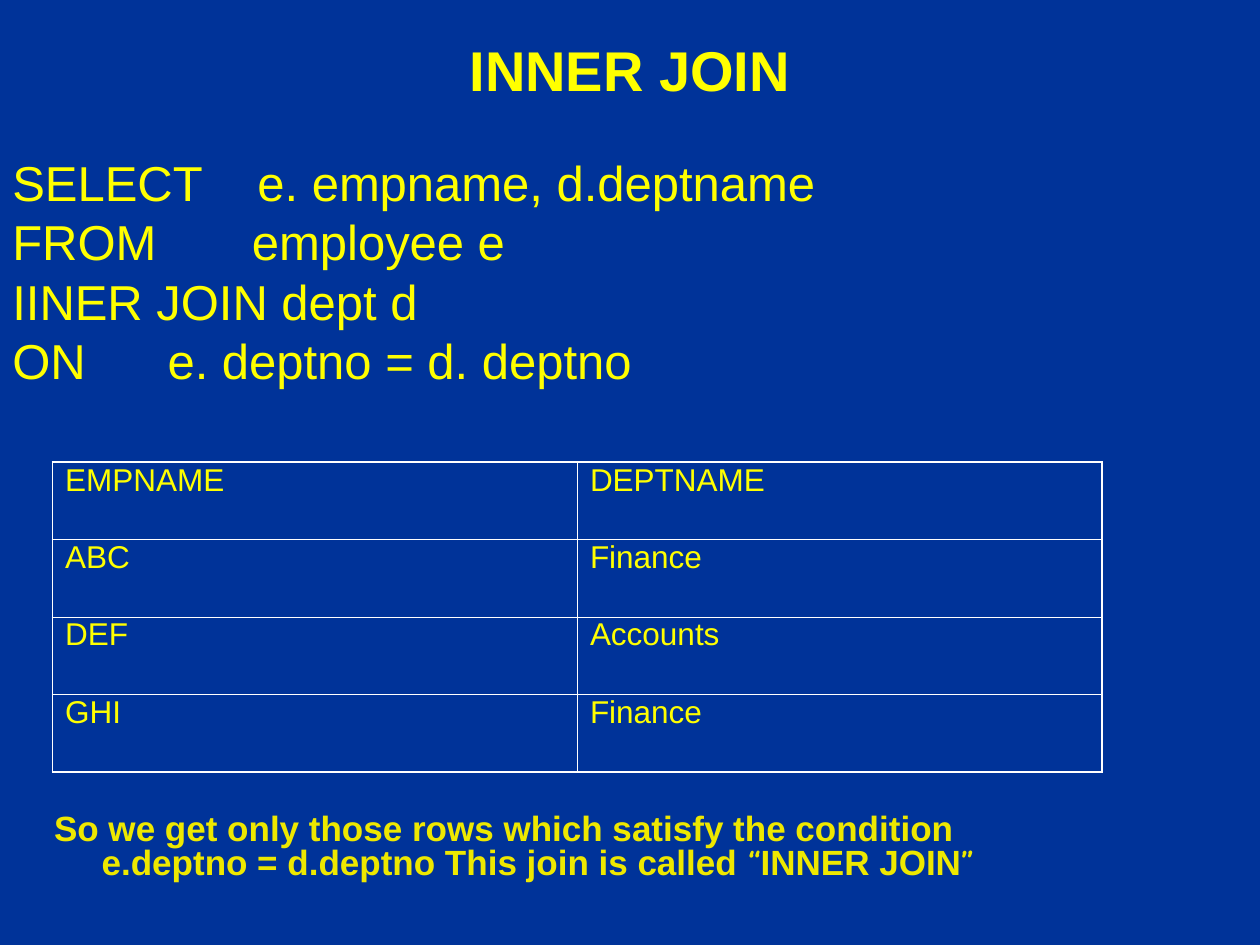
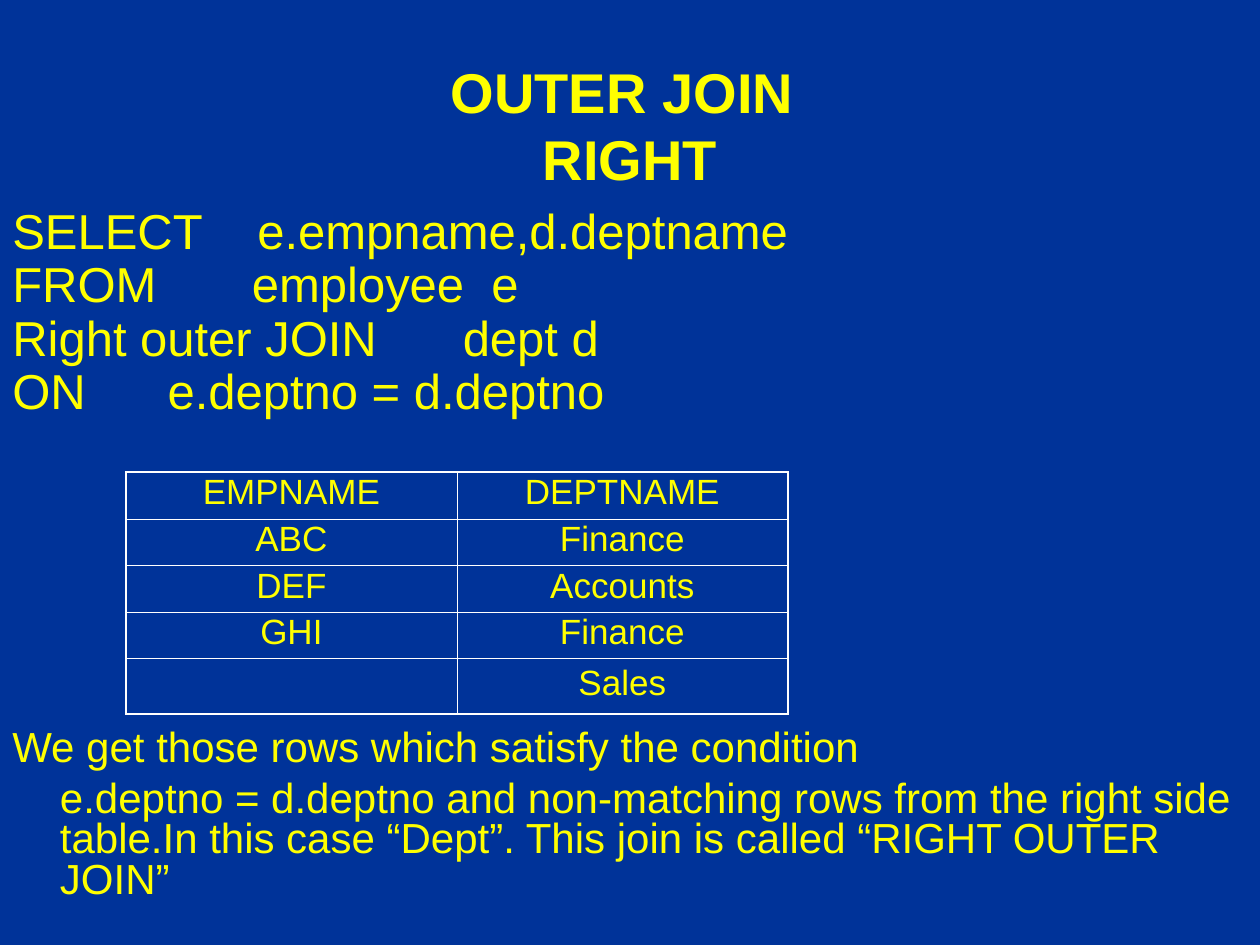
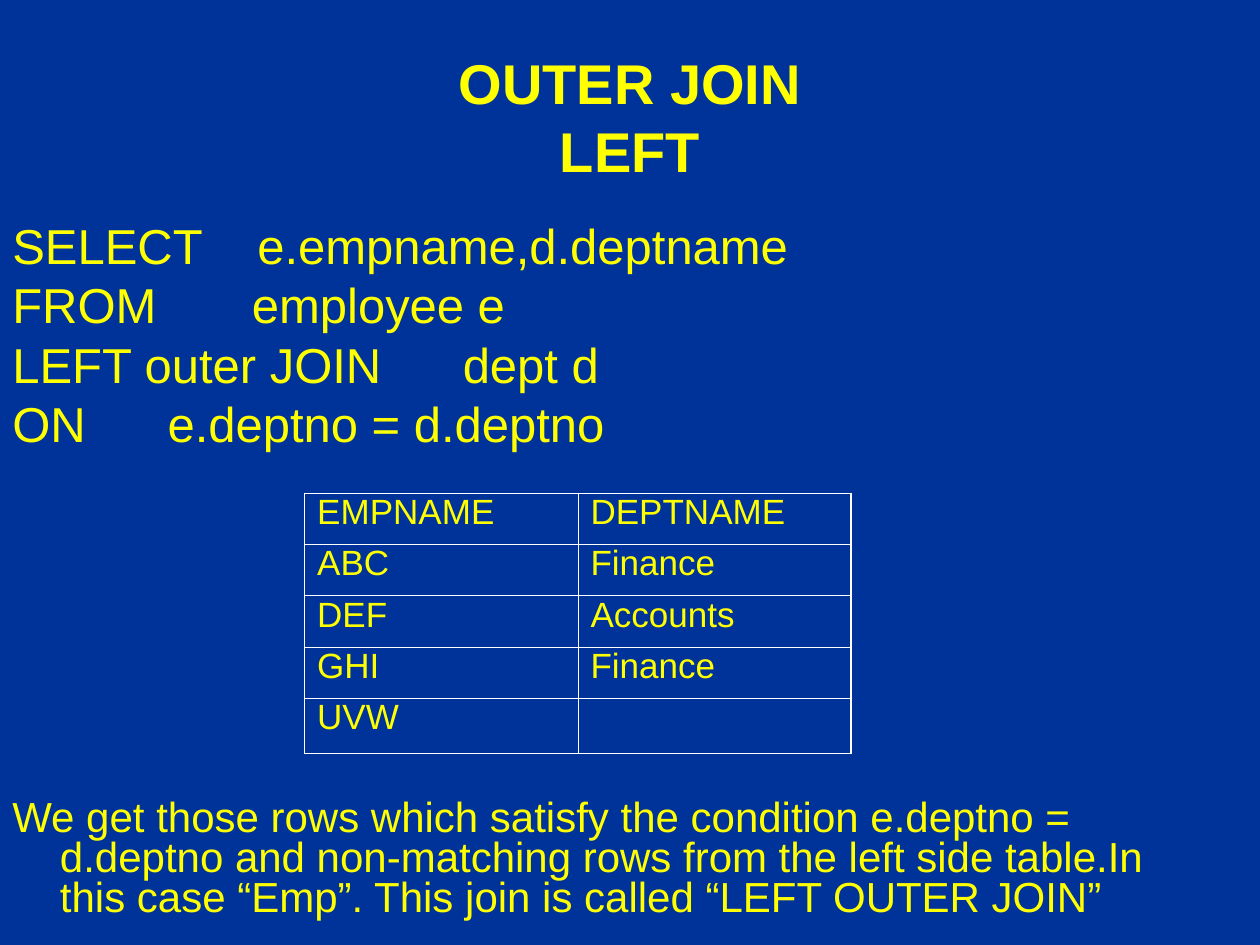
import dataclasses

import lxml.etree
import pptx
import pptx.dml.color
import pptx.enum.text
import pptx.oxml.ns
import pptx.util

Cm = pptx.util.Cm
Pt = pptx.util.Pt
RGBColor = pptx.dml.color.RGBColor
Align = pptx.enum.text.PP_ALIGN
Anchor = pptx.enum.text.MSO_ANCHOR
qn = pptx.oxml.ns.qn


@dataclasses.dataclass(frozen=True)
class Theme:
    background: str = "003399"
    text: str = "FFFF00"
    conclusion: str = "EEE800"
    border: str = "FFFFFF"
    font: str = "Arial"
    quote_font: str = "Comic Neue"
    title_size: int = 32
    code_size: int = 28
    note_size: int = 24
    conclusion_size: int = 20
    outer_border: float = 1.08
    inner_border: float = 0.45
    hanging_indent: float = 0.96


class JoinDeck:
    """Builds slides that explain SQL joins in one shared style."""

    def __init__(self, theme):
        self.theme = theme
        self.presentation = pptx.Presentation()
        self.presentation.slide_width = Cm(25.4)
        self.presentation.slide_height = Cm(19.05)
        self.slide = None

    def new_slide(self):
        self.slide = self.presentation.slides.add_slide(self.presentation.slide_layouts[6])
        fill = self.slide.background.fill
        fill.solid()
        fill.fore_color.rgb = RGBColor.from_string(self.theme.background)

    def text_frame(self, left, top, width, height, anchor=Anchor.TOP):
        shape = self.slide.shapes.add_textbox(Cm(left), Cm(top), Cm(width), Cm(height))
        frame = shape.text_frame
        frame.word_wrap = True
        frame.vertical_anchor = anchor
        return frame

    def paragraph(self, frame, index, spacing, gap):
        paragraph = frame.add_paragraph() if index else frame.paragraphs[0]
        paragraph.line_spacing = spacing
        paragraph.space_before = Pt(gap if index else 0)
        return paragraph

    def run(self, paragraph, text, size, color=None, bold=False, font=None):
        run = paragraph.add_run()
        run.text = text
        run.font.name = font or self.theme.font
        run.font.size = Pt(size)
        run.font.bold = bold
        run.font.color.rgb = RGBColor.from_string(color or self.theme.text)

    def indent(self, paragraph, hanging):
        margin = Cm(self.theme.hanging_indent)
        properties = paragraph._p.get_or_add_pPr()
        properties.set("marL", str(margin))
        properties.set("indent", str(-margin if hanging else 0))

    def tab_stop(self, paragraph, position):
        properties = paragraph._p.get_or_add_pPr()
        stops = lxml.etree.SubElement(properties, qn("a:tabLst"))
        lxml.etree.SubElement(stops, qn("a:tab"), pos=str(Cm(position)), algn="l")

    def title(self, lines, top, height):
        frame = self.text_frame(0, top, 25.4, height, Anchor.MIDDLE)
        paragraph = frame.paragraphs[0]
        paragraph.alignment = Align.CENTER
        for index, line in enumerate(lines):
            if index:
                paragraph.add_line_break()
            self.run(paragraph, line, self.theme.title_size, bold=True)

    def code(self, lines, top, height, spacing=0.8):
        frame = self.text_frame(0, top, 25.4, height)
        for index, (text, stop) in enumerate(lines):
            paragraph = self.paragraph(frame, index, spacing, 7)
            if stop:
                self.tab_stop(paragraph, stop)
            self.run(paragraph, text, self.theme.code_size)

    def note(self, paragraphs, top, width, height):
        frame = self.text_frame(0, top, width, height)
        for index, text in enumerate(paragraphs):
            paragraph = self.paragraph(frame, index, 0.8, 6)
            self.indent(paragraph, hanging=index == 0)
            self.run(paragraph, text, self.theme.note_size)

    def conclusion(self, pieces, left, top, width, height):
        paragraph = self.paragraph(self.text_frame(left, top, width, height), 0, 0.8, 0)
        self.indent(paragraph, hanging=True)
        for text, font in pieces:
            self.run(paragraph, text, self.theme.conclusion_size, self.theme.conclusion, True, font)

    def cell_borders(self, cell, outer_sides):
        properties = cell._tc.get_or_add_tcPr()
        for position, side in enumerate("LRTB"):
            weight = self.theme.outer_border if side in outer_sides else self.theme.inner_border
            line = lxml.etree.Element(qn(f"a:ln{side}"), w=str(Pt(weight)))
            fill = lxml.etree.SubElement(line, qn("a:solidFill"))
            lxml.etree.SubElement(fill, qn("a:srgbClr"), val=self.theme.border)
            properties.insert(position, line)

    def table(self, rows, left, top, column_width, row_heights, size,
              alignment=Align.LEFT, anchor=Anchor.TOP):
        columns = len(rows[0])
        frame = self.slide.shapes.add_table(
            len(rows), columns, Cm(left), Cm(top),
            Cm(column_width * columns), Cm(sum(row_heights)))
        table = frame.table
        table.first_row = table.horz_banding = False
        for column in table.columns:
            column.width = Cm(column_width)
        for row_index, (values, height) in enumerate(zip(rows, row_heights)):
            table.rows[row_index].height = Cm(height)
            for column_index, value in enumerate(values):
                cell = table.cell(row_index, column_index)
                cell.fill.background()
                cell.vertical_anchor = anchor
                edges = {"L": column_index == 0, "R": column_index == columns - 1,
                         "T": row_index == 0, "B": row_index == len(rows) - 1}
                self.cell_borders(cell, [side for side, outer in edges.items() if outer])
                if value:
                    paragraph = self.paragraph(cell.text_frame, 0, 0.8, 0)
                    paragraph.alignment = alignment
                    self.run(paragraph, value, size)


MATCHING_ROWS = [("EMPNAME", "DEPTNAME"), ("ABC", "Finance"),
                 ("DEF", "Accounts"), ("GHI", "Finance")]
SELECT_STOP, FROM_STOP, JOIN_STOP, ON_STOP = 4.94, 4.83, 9.08, 3.13


def outer_join_code(join, source):
    return [("SELECT\te.empname,d.deptname", SELECT_STOP), (f"FROM\t{source}", FROM_STOP),
            (f"{join} outer JOIN\tdept d", JOIN_STOP), ("ON\te.deptno = d.deptno", ON_STOP)]


def inner_join(deck):
    deck.new_slide()
    deck.table(MATCHING_ROWS, 1.06, 9.32, 10.58, [1.56] * 4, 18)
    deck.conclusion(
        [("So we get only those rows which satisfy the condition "
          "e.deptno = d.deptno This join is called ", None),
         ("“", deck.theme.quote_font), ("INNER JOIN", None), ("”", deck.theme.quote_font)],
        0.84, 16.3, 21.18, 2.08)
    deck.code([("SELECT\te. empname, d.deptname", SELECT_STOP), ("FROM\temployee e", FROM_STOP),
               ("IINER JOIN dept d", None), ("ON\te. deptno = d. deptno", ON_STOP)], 3.18, 5.92)
    deck.title(["INNER JOIN"], 0.89, 1.02)


def right_outer_join(deck):
    deck.new_slide()
    deck.title(["OUTER JOIN ", "RIGHT"], 1.27, 2.49)
    deck.code(outer_join_code("Right", "employee  e"), 4.24, 4.75, spacing=0.7)
    deck.table(MATCHING_ROWS + [("", "Sales")], 2.54, 9.52, 6.67, [0.94] * 4 + [1.12], 20,
               Align.CENTER, Anchor.MIDDLE)
    deck.note(["We get those rows which satisfy the condition",
               "e.deptno = d.deptno and non-matching rows from the right side table."
               "In this case “Dept”. This join is called “RIGHT OUTER JOIN”"], 14.6, 25.4, 4.45)


def left_outer_join(deck):
    deck.new_slide()
    deck.title(["OUTER JOIN", "LEFT"], 1.07, 2.54)
    deck.code(outer_join_code("LEFT", "employee e"), 4.45, 5.08)
    deck.table(MATCHING_ROWS + [("UVW", "")], 6.14, 9.95, 5.51, [1.03] * 4 + [1.12], 20)
    deck.note(["We get those rows which satisfy the condition e.deptno = d.deptno and "
               "non-matching rows from the left side table.In this case “Emp”. "
               "This join is called “LEFT OUTER JOIN”"], 16, 24.77, 3.05)


def main():
    deck = JoinDeck(Theme())
    inner_join(deck)
    right_outer_join(deck)
    left_outer_join(deck)
    deck.presentation.save("out.pptx")


if __name__ == "__main__":
    main()
